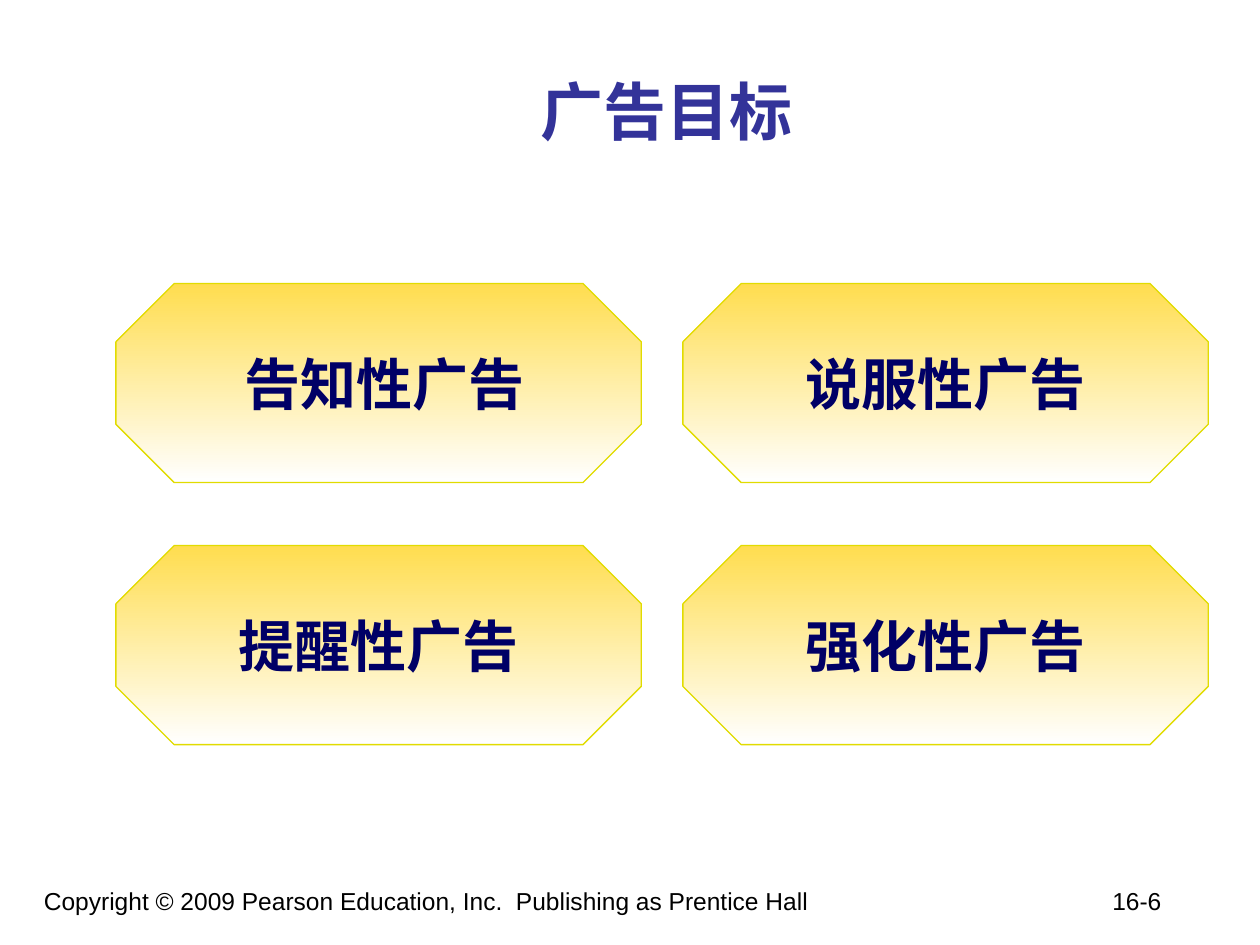
import pptx
import pptx.dml.color
import pptx.enum.shapes
import pptx.enum.text
import pptx.oxml
import pptx.oxml.ns
import pptx.util
from pptx.util import Inches

CJK_FONT = "Noto Sans CJK SC"


def colour(value):
    return pptx.dml.color.RGBColor.from_string(value)


def write(box, text, size, fill, font="Arial", bold=False, align="LEFT",
          anchor="TOP", wrap=True, tab=None):
    frame = box.text_frame
    frame.word_wrap = wrap
    frame.vertical_anchor = getattr(pptx.enum.text.MSO_ANCHOR, anchor)
    para = frame.paragraphs[0]
    para.alignment = getattr(pptx.enum.text.PP_ALIGN, align)
    if tab is not None:
        stops = pptx.oxml.ns.qn("a:tabLst")
        properties = para._p.get_or_add_pPr()
        tab_list = properties.makeelement(stops, {})
        tab_list.append(tab_list.makeelement(
            pptx.oxml.ns.qn("a:tab"), {"pos": str(tab), "algn": "l"}))
        properties.append(tab_list)
    span = para.add_run()
    span.text = text
    span.font.size = pptx.util.Pt(size)
    span.font.bold = bold
    span.font.name = font
    span.font.color.rgb = colour(fill)
    latin = span.font._element.find(pptx.oxml.ns.qn("a:latin"))
    latin.addnext(latin.makeelement(
        pptx.oxml.ns.qn("a:ea"), {"typeface": CJK_FONT}))


class SlideBuilder:
    title_colour = "333399"
    label_colour = "000066"
    outline_colour = "E1DC00"
    gradient_colours = ("FFDD4F", "FFFFFF")

    def __init__(self, page):
        self.page = page

    def text_box(self, left, top, width, height):
        return self.page.shapes.add_textbox(
            Inches(left), Inches(top), Inches(width), Inches(height))

    def title(self, text):
        write(self.text_box(1.08, 0.25, 8.42, 1.25), text, 36,
              self.title_colour, font=CJK_FONT, bold=True,
              align="CENTER", anchor="MIDDLE")

    def footer(self, notice, number):
        write(self.text_box(0.25, 6.98, 9.33, 0.52), f"{notice}\t{number}",
              14, "000000", tab=Inches(8.48))

    def octagon(self, left, top, text):
        box = self.page.shapes.add_shape(
            pptx.enum.shapes.MSO_SHAPE.OCTAGON,
            Inches(left), Inches(top), Inches(4.17), Inches(1.58))
        box.adjustments[0] = 0.293
        box.shadow.inherit = False
        box.fill.gradient()
        box.fill.gradient_angle = 270
        for stop, value in zip(box.fill.gradient_stops, self.gradient_colours):
            stop.color.rgb = colour(value)
        box.line.color.rgb = colour(self.outline_colour)
        box.line.width = pptx.util.Pt(0.75)
        write(box, text, 32, self.label_colour, bold=True,
              align="CENTER", anchor="MIDDLE", wrap=False)


def main():
    deck = pptx.Presentation()
    deck.slide_width, deck.slide_height = Inches(10), Inches(7.5)
    builder = SlideBuilder(deck.slides.add_slide(deck.slide_layouts[6]))
    builder.footer(
        "Copyright © 2009 Pearson Education, Inc.  Publishing as Prentice Hall",
        "16-6")
    builder.title("广告目标")
    goals = [[" 告知性广告", "说服性广告"], ["提醒性广告", "强化性广告"]]
    for row, labels in enumerate(goals):
        for column, label in enumerate(labels):
            builder.octagon(0.92 + 4.5 * column, 2.25 + 2.08 * row, label)
    deck.save("out.pptx")


if __name__ == "__main__":
    main()
